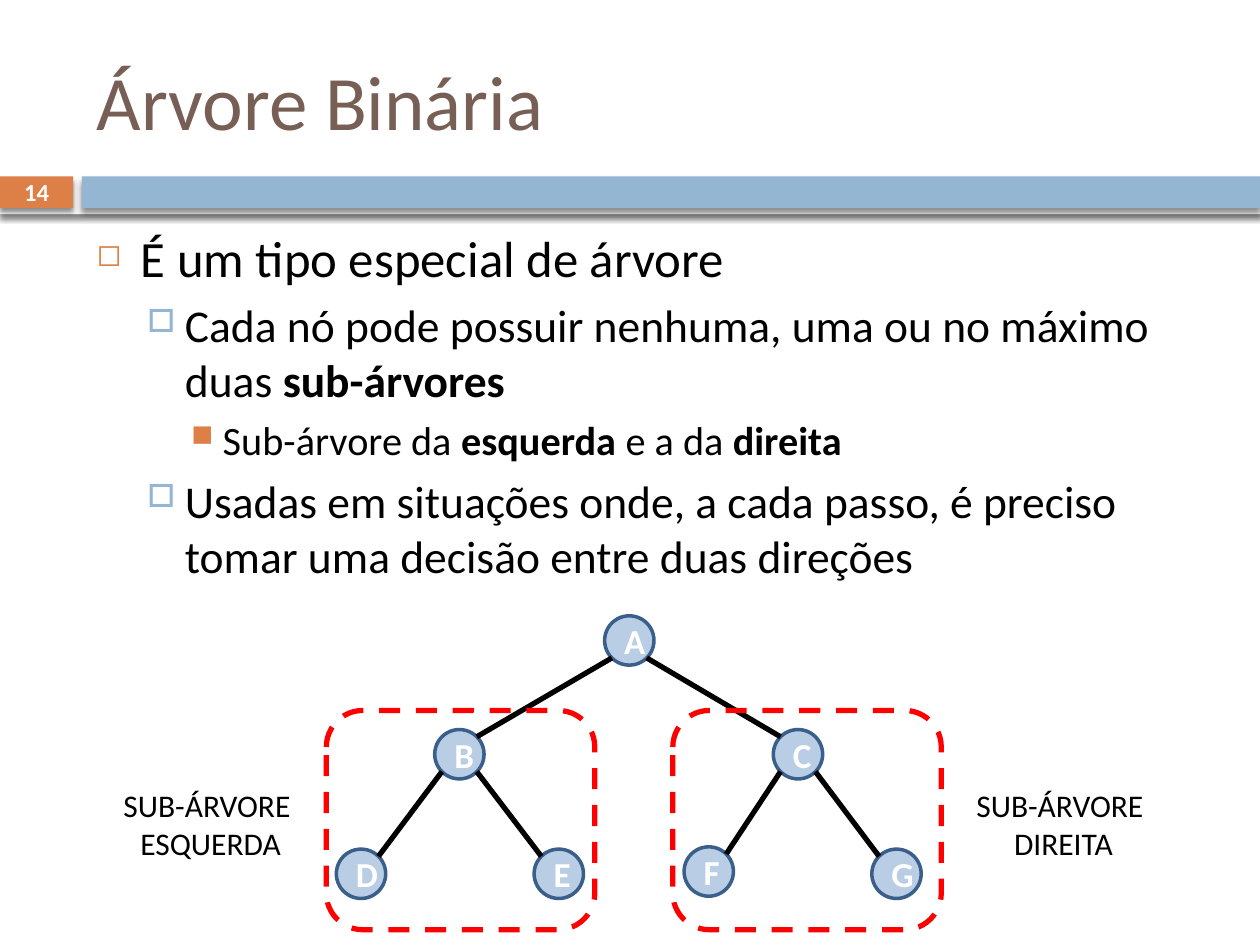
from math import sqrt
from lxml.etree import SubElement as Sub
from pptx import Presentation
from pptx.dml.color import RGBColor
from pptx.enum.dml import MSO_LINE as Dash
from pptx.enum.shapes import MSO_CONNECTOR as Conn, MSO_SHAPE as Kind
from pptx.enum.text import MSO_ANCHOR as Anchor, PP_ALIGN as Align
from pptx.oxml.ns import qn
from pptx.util import Pt

FONT = "Calibri"
COLORS = {"title": "775F55", "orange": "DD8047", "blue": "94B6D2", "white": "FFFFFF",
          "black": "000000", "node": "B9CDE5", "rim": "3A5F8B", "red": "FF0000"}

# Content
TITLE = "Árvore Binária"
NUMBER = "14"
BULLETS = [  # level, runs as (text, bold)
    (0, [("É um tipo especial de árvore", False)]),
    (1, [("Cada nó pode possuir nenhuma, uma ou no máximo duas ", False),
         ("sub-árvores", True)]),
    (2, [("Sub-árvore da ", False), ("esquerda", True),
         (" e a da ", False), ("direita", True)]),
    (1, [("Usadas em situações onde, a cada passo, é preciso "
          "tomar uma decisão entre duas direções", False)]),
]
LEVELS = [  # size, space before, left margin, hanging, bullet, colour, percent
    (29, 7, 25.2, 25.2, "◻", "orange", 60),
    (26, 5.5, 50.4, 21.6, "□", "blue", 70),
    (23, 5, 72, 18, "■", "orange", 75),
]
BARS = [(0, 97.2, 720, 25.2, "white"), (0, 100.8, 41.8, 18, "orange"),
        (46.8, 100.8, 673.2, 18, "blue")]
NODES = {"A": (359.6, 366), "D": (206.3, 499.3), "B": (262.5, 431), "C": (456, 431),
         "E": (319.3, 499.3), "G": (512.3, 499.3), "F": (405, 498)}  # centres
EDGES = ["AB", "BD", "AC", "CF", "BE", "CG"]
SIDES = [(186.5, 16.6, "ESQUERDA"), (384.5, 504, "DIREITA")]  # frame x, label x, word
SIZE = 28.2

prs = Presentation()
prs.slide_width, prs.slide_height = Pt(720), Pt(540)
slide = prs.slides.add_slide(prs.slide_layouts[6])
shapes = slide.shapes


def rgb(name):
    return RGBColor.from_string(COLORS[name])


def style(font, size, color, bold=False):
    font.name, font.size, font.bold = FONT, Pt(size), bold
    font.color.rgb = rgb(color)


def add_shape(kind, x, y, w, h, fill=None, line=None, width=0):
    shape = shapes.add_shape(kind, Pt(x), Pt(y), Pt(w), Pt(h))
    shape.shadow.inherit = False
    if fill:
        shape.fill.solid()
        shape.fill.fore_color.rgb = rgb(fill)
    else:
        shape.fill.background()
    if line:
        shape.line.color.rgb = rgb(line)
        shape.line.width = Pt(width)
    else:
        shape.line.fill.background()
    return shape


def write(shape, text, size, color, bold=False, align=Align.CENTER, anchor=Anchor.MIDDLE):
    frame = shape.text_frame
    frame.word_wrap = True
    frame.vertical_anchor = anchor
    frame.text = text
    for par in frame.paragraphs:
        par.alignment = align
        for run in par.runs:
            style(run.font, size, color, bold)


def add_box(x, y, w, h):
    return shapes.add_textbox(Pt(x), Pt(y), Pt(w), Pt(h))


def add_shadow(shape):
    effects = shape._element.spPr.find(qn("a:effectLst"))
    outer = Sub(effects, qn("a:outerShdw"), blurRad=str(Pt(3)), dist=str(Pt(2.4)),
                dir="5400000", algn="ctr", rotWithShape="0")
    tint = Sub(outer, qn("a:srgbClr"), val=COLORS["black"])
    Sub(tint, qn("a:alpha"), val="45000")


def set_bullet(par, margin, hang, char, color, percent):
    props = par._p.get_or_add_pPr()
    props.set("marL", str(Pt(margin)))
    props.set("indent", str(-Pt(hang)))
    Sub(Sub(props, qn("a:buClr")), qn("a:srgbClr"), val=COLORS[color])
    Sub(props, qn("a:buSzPct"), val=str(percent * 1000))
    Sub(props, qn("a:buChar"), char=char)


# Header bars, title and slide number
for *place, fill in BARS:
    add_shadow(add_shape(Kind.RECTANGLE, *place, fill))
write(add_box(48.2, 18, 642.2, 77.8), TITLE, 44, "title", align=Align.LEFT)
write(add_box(0, 100, 41.8, 19.4), NUMBER, 14, "white", True)

# Bulleted text
frame = add_box(48.2, 126, 642.2, 354).text_frame
frame.word_wrap = True
for i, (level, runs) in enumerate(BULLETS):
    par = frame.add_paragraph() if i else frame.paragraphs[0]
    size, before, *bullet = LEVELS[level]
    par.level = level
    par.space_before = Pt(before if i else 0)
    set_bullet(par, *bullet)
    for text, bold in runs:
        run = par.add_run()
        run.text = text
        style(run.font, size, "black", bold)

# Tree nodes
for name, (x, y) in NODES.items():
    node = add_shape(Kind.OVAL, x - SIZE / 2, y - SIZE / 2, SIZE, SIZE, "node", "rim", 2)
    write(node, name, 20, "white", True)

# Edges run between the diagonal points of the circles
reach = SIZE / 2 / sqrt(2)
for top, low in EDGES:
    (x1, y1), (x2, y2) = NODES[top], NODES[low]
    dx = reach if x2 > x1 else -reach
    edge = shapes.add_connector(Conn.STRAIGHT, Pt(x1 + dx), Pt(y1 + reach),
                                Pt(x2 - dx), Pt(y2 - reach))
    edge.line.color.rgb = rgb("black")
    edge.line.width = Pt(3)
    Sub(edge._element.spPr, qn("a:effectLst"))

# Subtree frames and labels
for left, label, word in SIDES:
    box = add_shape(Kind.ROUNDED_RECTANGLE, left, 406, 153.4, 125.3, None, "red", 3)
    box.line.dash_style = Dash.DASH
    write(add_box(label, 445.7, 207.4, 50.4), "SUB-ÁRVORE \n" + word, 18, "black",
          anchor=Anchor.TOP)

prs.save("out.pptx")
